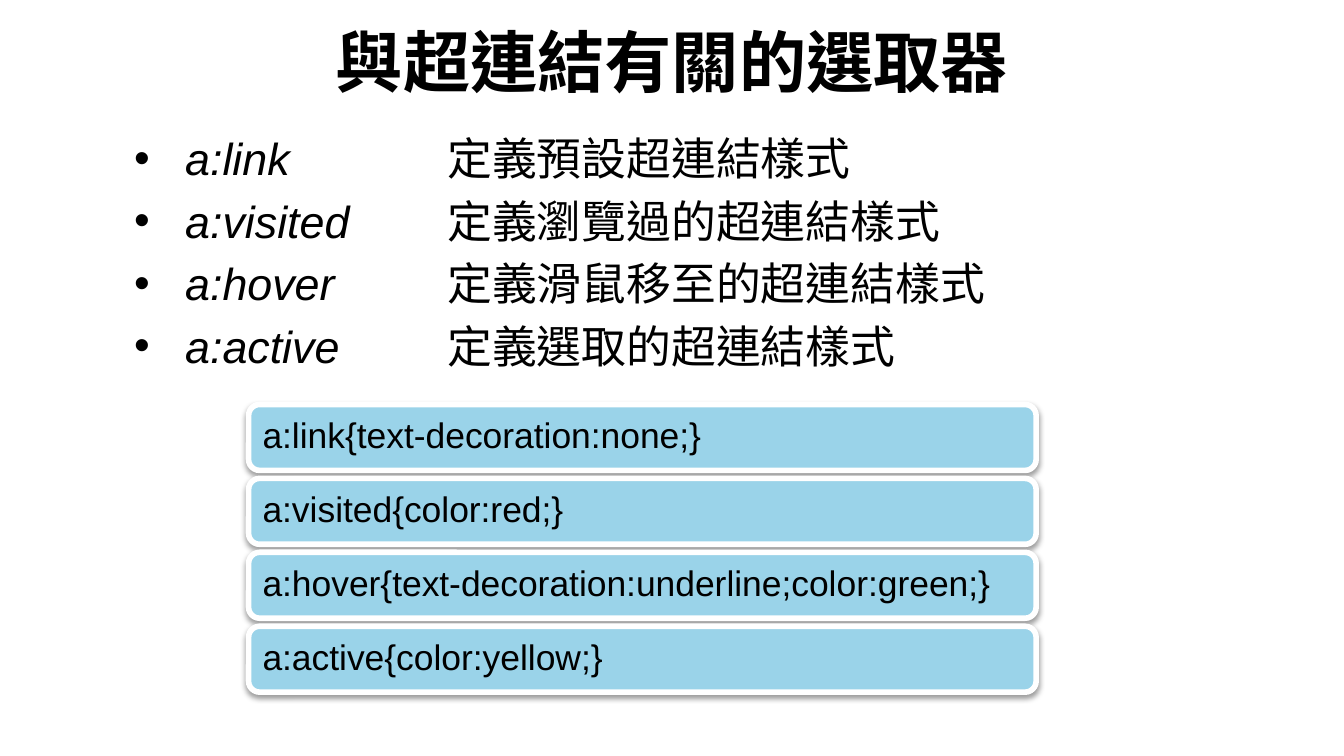
from lxml import etree
from pptx import Presentation
from pptx.dml.color import RGBColor
from pptx.enum.shapes import MSO_SHAPE
from pptx.enum.text import MSO_ANCHOR, PP_ALIGN
from pptx.oxml import parse_xml
from pptx.oxml.ns import nsdecls, qn
from pptx.util import Inches, Pt

ROUNDED = MSO_SHAPE.ROUNDED_RECTANGLE
LEFT, CENTER = PP_ALIGN.LEFT, PP_ALIGN.CENTER
TOP, MIDDLE = MSO_ANCHOR.TOP, MSO_ANCHOR.MIDDLE
BLACK = RGBColor(0x00, 0x00, 0x00)
WHITE = RGBColor(0xFF, 0xFF, 0xFF)
SKY = RGBColor(0x9A, 0xD3, 0xE9)

TITLE = "與超連結有關的選取器"
SELECTORS = [
    ("a:link", "定義預設超連結樣式"),
    ("a:visited", "定義瀏覽過的超連結樣式"),
    ("a:hover", "定義滑鼠移至的超連結樣式"),
    ("a:active", "定義選取的超連結樣式"),
]
RULES = [
    "a:link{text-decoration:none;}",
    "a:visited{color:red;}",
    "a:hover{text-decoration:underline;color:green;}",
    "a:active{color:yellow;}",
]


def write_lines(shape, lines, size, font="Arial", bold=False, italic=False,
                align=LEFT, anchor=TOP, spacing=None, bullet=False, inset=0.1):
    frame = shape.text_frame
    frame.word_wrap = True
    frame.vertical_anchor = anchor
    frame.margin_left = frame.margin_right = Inches(inset)
    for index, line in enumerate(lines):
        para = frame.add_paragraph() if index else frame.paragraphs[0]
        para.alignment = align
        if spacing:
            para.line_spacing = spacing
        if bullet:
            add_bullet(para)
        span = para.add_run()
        span.text = line
        span.font.name = font
        span.font.size = Pt(size)
        span.font.bold = bold
        span.font.italic = italic
        span.font.color.rgb = BLACK
        span._r.get_or_add_rPr().set("lang", "zh-TW")


def add_bullet(para):
    properties = para._p.get_or_add_pPr()
    properties.set("marL", str(Inches(0.38)))
    properties.set("indent", str(-Inches(0.38)))
    etree.SubElement(properties, qn("a:buFont")).set("typeface", "Arial")
    etree.SubElement(properties, qn("a:buChar")).set("char", "•")


def add_shadow(shape):
    shape._element.spPr.append(parse_xml(
        f'<a:effectLst {nsdecls("a")}>'
        f'<a:outerShdw blurRad="{Pt(3.1)}" dist="{Pt(1.6)}" dir="5400000" rotWithShape="0">'
        '<a:srgbClr val="000000"><a:alpha val="38000"/></a:srgbClr>'
        '</a:outerShdw></a:effectLst>'))


def add_text_box(page, left, top, width, height, lines, size, **style):
    box = page.shapes.add_textbox(Inches(left), Inches(top), Inches(width), Inches(height))
    write_lines(box, lines, size, **style)


def add_title(page, left, top, width, height):
    add_text_box(page, left, top, width, height, [TITLE], 36, font="DejaVu Sans Mono",
                 bold=True, align=CENTER, anchor=MIDDLE)


def add_selector_list(page, left, top, width, height):
    term_width = 2.33
    terms, meanings = zip(*SELECTORS)
    add_text_box(page, left, top, term_width, height, terms, 24,
                 italic=True, spacing=Pt(33.5), bullet=True)
    add_text_box(page, left + term_width, top, width - term_width, height, meanings, 24,
                 spacing=Pt(33.5))


def add_rule_cards(page, left, top, width, height):
    card_height = 0.49
    pitch = (height - card_height) / (len(RULES) - 1)
    for index, rule in enumerate(RULES):
        card = page.shapes.add_shape(ROUNDED, Inches(left), Inches(top + index * pitch),
                                     Inches(width), Inches(card_height))
        card.fill.solid()
        card.fill.fore_color.rgb = SKY
        card.line.color.rgb = WHITE
        card.line.width = Pt(3)
        add_shadow(card)
        write_lines(card, [rule], 19, anchor=MIDDLE, spacing=0.9, inset=0.08)


def main():
    deck = Presentation()
    deck.slide_width = Inches(10)
    deck.slide_height = deck.slide_width * 9 // 16
    page = deck.slides.add_slide(deck.slide_layouts[6])
    add_title(page, 0, 0.14, 10, 0.63)
    add_selector_list(page, 0.9, 0.86, 8.42, 2.1)
    add_rule_cards(page, 1.85, 3.01, 5.86, 2.14)
    deck.save("out.pptx")


if __name__ == "__main__":
    main()
